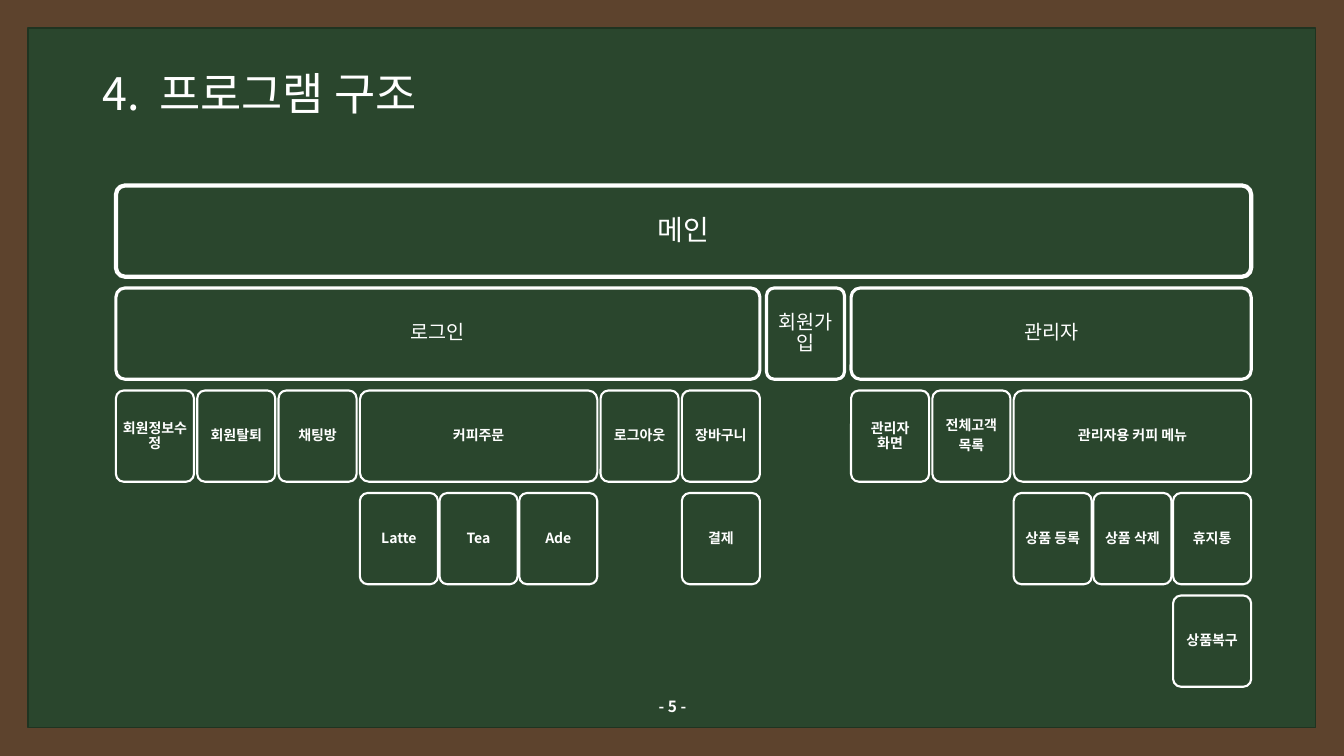
import lxml.etree
import pptx
import pptx.util
import pptx.dml.color
import pptx.enum.shapes
import pptx.enum.text
import pptx.oxml.ns

TITLE = "4.\t프로그램 구조"
PAGE_NUMBER = "- 5 -"
# Each node is (label, children)
PROGRAM = ("메인", [
    ("로그인", [
        ("회원정보수정", []),
        ("회원탈퇴", []),
        ("채팅방", []),
        ("커피주문", [("Latte", []), ("Tea", []), ("Ade", [])]),
        ("로그아웃", []),
        ("장바구니", [("결제", [])]),
    ]),
    ("회원가입", []),
    ("관리자", [
        ("관리자 화면", []),
        ("전체고객\n목록", []),
        ("관리자용 커피 메뉴", [
            ("상품 등록", []),
            ("상품 삭제", []),
            ("휴지통", [("상품복구", [])]),
        ]),
    ]),
])
# Per level: text size, bold, line width, inset, gap between children
LEVELS = [
    (20, False, 3, 0.08, 0.065),
    (14, False, 2.25, 0.06, 0.0325),
    (10, True, 1.5, 0.04, 0.0165),
    (10, True, 1.5, 0.04, 0.0165),
    (10, True, 1.5, 0.04, 0.0165),
]
FONT = "Noto Sans CJK KR"
WOOD, BOARD, BOARD_EDGE, CHALK = "5D432D", "2A462D", "1F3421", "FFFFFF"
WIDTH, HEIGHT = 13.33, 7.5
FRAME = 0.28
TREE_LEFT, TREE_TOP = 1.15, 1.84
LEAF_WIDTH, BOX_HEIGHT, ROW_STEP = 0.774, 0.905, 1.017

Inches, Pt = pptx.util.Inches, pptx.util.Pt
SHAPES = pptx.enum.shapes.MSO_SHAPE
ALIGN = pptx.enum.text.PP_ALIGN


def color(value):
    return pptx.dml.color.RGBColor.from_string(value)


def write(shape, text, size, bold=False, align=ALIGN.CENTER, line_spacing=0.9):
    frame = shape.text_frame
    frame.word_wrap = True
    frame.vertical_anchor = pptx.enum.text.MSO_ANCHOR.MIDDLE
    frame.text = text
    for para in frame.paragraphs:
        para.alignment = align
        para.line_spacing = line_spacing
        font = para.font
        font.name, font.size, font.bold = FONT, Pt(size), bold
        font.color.rgb = color(CHALK)
        latin = font._element.find(pptx.oxml.ns.qn("a:latin"))
        east_asian = lxml.etree.Element(pptx.oxml.ns.qn("a:ea"), typeface=FONT)
        latin.addnext(east_asian)
    return frame


def add_panel(page, kind, left, top, width, height, edge, edge_width):
    panel = page.shapes.add_shape(
        kind, Inches(left), Inches(top), Inches(width), Inches(height))
    panel.shadow.inherit = False
    panel.fill.solid()
    panel.fill.fore_color.rgb = color(BOARD)
    panel.line.color.rgb = color(edge)
    panel.line.width = Pt(edge_width)
    return panel


def span_width(node, level):
    """Width of a node: its children side by side, or one leaf."""
    children = node[1]
    if not children:
        return LEAF_WIDTH
    gaps = LEVELS[level][4] * (len(children) - 1)
    return gaps + sum(span_width(child, level + 1) for child in children)


def add_node(page, node, left, level=0):
    label, children = node
    size, bold, edge_width, inset, gap = LEVELS[level]
    box = add_panel(page, SHAPES.ROUNDED_RECTANGLE, left, TREE_TOP + level * ROW_STEP,
                    span_width(node, level), BOX_HEIGHT, CHALK, edge_width)
    box.adjustments[0] = 0.1
    frame = write(box, label, size, bold)
    frame.margin_left = frame.margin_right = Inches(inset)
    frame.margin_top = frame.margin_bottom = Inches(inset)
    for para in frame.paragraphs:
        para.space_after = Pt(size * 0.35)
    for child in children:
        add_node(page, child, left, level + 1)
        left += span_width(child, level + 1) + gap


def add_title(page):
    title = page.shapes.title
    title.left, title.top = Inches(0.92), Inches(0.4)
    title.width, title.height = Inches(11.5), Inches(1.11)
    title.text_frame.text = TITLE
    write(title, TITLE, 32, align=ALIGN.LEFT)
    properties = title.text_frame.paragraphs[0]._p.get_or_add_pPr()
    tabs = lxml.etree.Element(pptx.oxml.ns.qn("a:tabLst"))
    lxml.etree.SubElement(tabs, pptx.oxml.ns.qn("a:tab"), pos=str(Inches(0.56)), algn="l")
    properties.find(pptx.oxml.ns.qn("a:defRPr")).addprevious(tabs)


def main():
    deck = pptx.Presentation()
    deck.slide_width, deck.slide_height = Inches(WIDTH), Inches(HEIGHT)
    page = deck.slides.add_slide(deck.slide_layouts[5])
    page.background.fill.solid()
    page.background.fill.fore_color.rgb = color(WOOD)

    board = add_panel(page, SHAPES.RECTANGLE, FRAME, FRAME,
                      WIDTH - 2 * FRAME, HEIGHT - 2 * FRAME, BOARD_EDGE, 1)
    page.shapes.title._element.addprevious(board._element)
    add_title(page)

    number = page.shapes.add_textbox(Inches(5.17), Inches(6.81), Inches(3), Inches(0.4))
    write(number, PAGE_NUMBER, 11, bold=True, line_spacing=1.0)
    add_node(page, PROGRAM, TREE_LEFT)
    deck.save("out.pptx")


if __name__ == "__main__":
    main()
